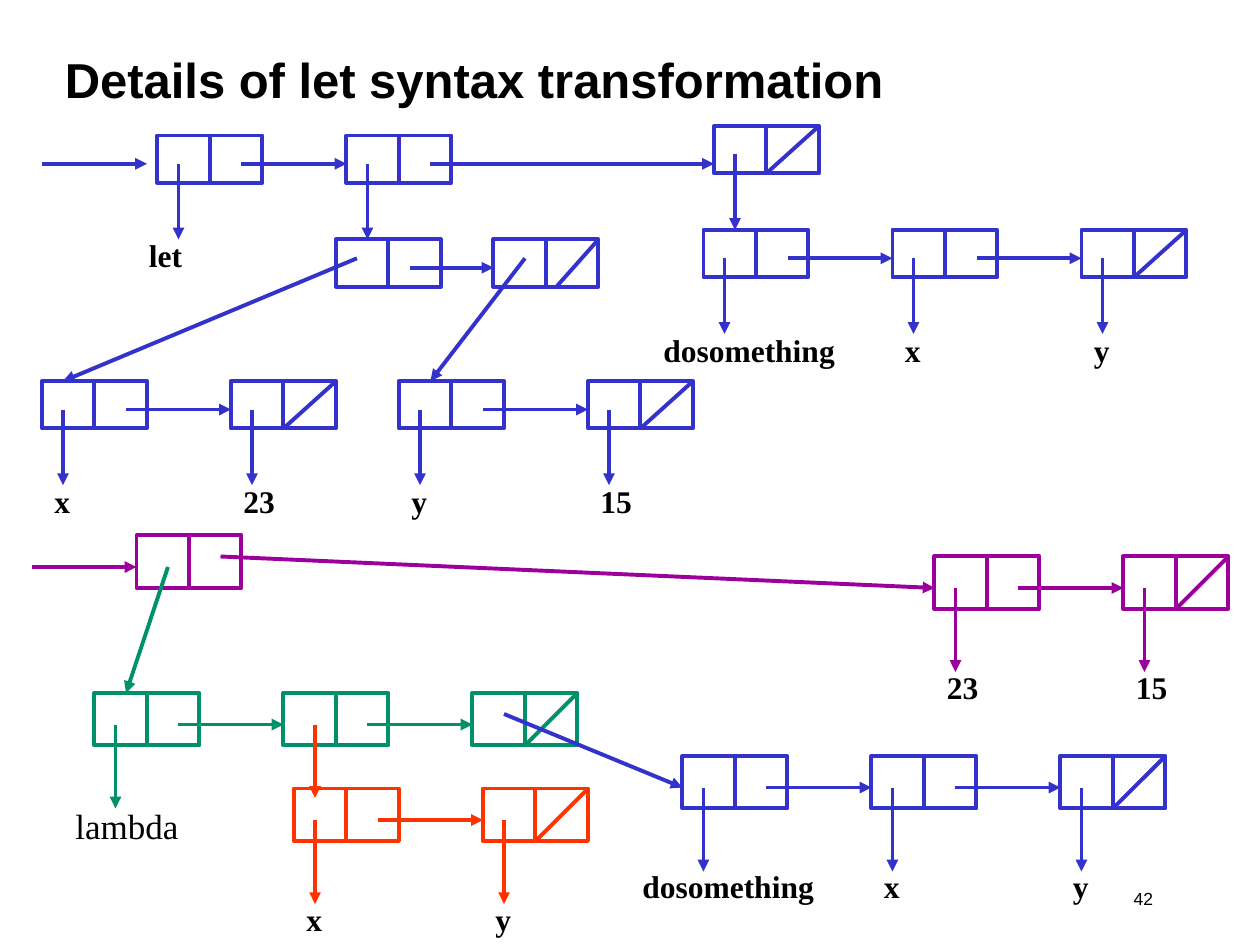
from lxml import etree
from pptx import Presentation, util as u
from pptx.dml.color import RGBColor
from pptx.enum import shapes, text
from pptx.oxml.ns import qn

BLACK = RGBColor(0x00, 0x00, 0x00)
BLUE = RGBColor(0x33, 0x33, 0xCC)
PURPLE = RGBColor(0x9C, 0x00, 0x9C)
GREEN = RGBColor(0x00, 0x90, 0x6A)
ORANGE = RGBColor(0xFF, 0x33, 0x00)

prs = Presentation()
prs.slide_width, prs.slide_height = u.Inches(10), u.Inches(7.5)
s = prs.slides.add_slide(prs.slide_layouts[6])

COL = prs.slide_width / 120
HALF = 5   # columns and rows in one half of a cons cell
# Each half of the slide has its own rows: (first row's top, row height)
LET = (u.Inches(1), u.Inches(0.075))
LAMBDA = (0, prs.slide_height / 90)


def add_text(content, x, y, w, h, *, size=18, bold=True, font="Times New Roman",
             align=text.PP_ALIGN.LEFT, anchor=text.MSO_ANCHOR.TOP):
    box = s.shapes.add_textbox(int(x), int(y), int(w), int(h))
    tf = box.text_frame
    tf.word_wrap, tf.vertical_anchor = True, anchor
    p = tf.paragraphs[0]
    p.alignment = align
    r = p.add_run()
    r.text = content
    r.font.size, r.font.bold, r.font.name = u.Pt(size), bold, font
    r.font.color.rgb = BLACK


def add_line(rows, color, c1, r1, c2, r2, arrow=True):
    """Draw a line between two (column, row) points."""
    top, step = rows
    line = s.shapes.add_connector(
        shapes.MSO_CONNECTOR.STRAIGHT, int(c1 * COL), int(top + r1 * step),
        int(c2 * COL), int(top + r2 * step))
    line.line.color.rgb, line.line.width = color, u.Pt(2.25)
    if arrow:
        etree.SubElement(line.line._get_or_add_ln(), qn("a:tailEnd"), type="triangle")
    etree.SubElement(line._element.spPr, qn("a:effectLst"))


add_text("Details of let syntax transformation", 5 * COL, u.Inches(0.17),
         102 * COL, 11 * COL, size=28, font="Arial", anchor=text.MSO_ANCHOR.MIDDLE)
add_text("42", 82 * COL, 84 * COL, 29 * COL, 4 * COL, size=10, bold=False,
         font="Arial", align=text.PP_ALIGN.RIGHT)

# Columns a label is moved left of its cell, and its width in columns
LABELS = {"let": (2, 16), "lambda": (3, 18), "dosomething": (5, 19)}

# rows, color, row, ends in nil, cells as (column, car)
# car: a label, "" for a bare down arrow, None for no down arrow
chains = [
    (LET, BLUE, 1, False, [(15, "let"), (33, "")]),
    (LET, BLUE, 0, True, [(68, "")]),
    (LET, BLUE, 11, True, [(67, "dosomething"), (85, "x"), (103, "y")]),
    (LET, BLUE, 12, False, [(32, None)]),
    (LET, BLUE, 12, False, [(47, None)]),
    (LET, BLUE, 27, True, [(4, "x"), (22, "23")]),
    (LET, BLUE, 27, True, [(38, "y"), (56, "15")]),
    (LAMBDA, PURPLE, 53, True, [(89, "23"), (107, "15")]),
    (LAMBDA, PURPLE, 51, False, [(13, None)]),
    (LAMBDA, ORANGE, 75.1, True, [(28, "x"), (46, "y")]),
    (LAMBDA, GREEN, 66, True, [(9, "lambda"), (27, None), (45, None)]),
    (LAMBDA, BLUE, 72, True, [(65, "dosomething"), (83, "x"), (101, "y")]),
]
for rows, color, row, nil, cells in chains:
    top, step = rows
    for i, (col, car) in enumerate(cells):
        for left in (col, col + HALF):
            sp = s.shapes.add_shape(
                shapes.MSO_SHAPE.RECTANGLE, int(left * COL), int(top + row * step),
                int(HALF * COL), int(HALF * step))
            sp.shadow.inherit = False
            sp.fill.background()
            sp.line.color.rgb, sp.line.width = color, u.Pt(2.25)
        if car is not None:
            add_line(rows, color, col + 2, row + 3, col + 2, row + 11)
        if car:
            shift, width = LABELS.get(car, (0, 6))
            plain = car == "lambda"
            add_text(car, (col - shift) * COL, top + (row + 10) * step, width * COL,
                     u.Inches(0.4), size=20 if plain else 18, bold=not plain)
        if i + 1 < len(cells):
            add_line(rows, color, col + 8, row + 3, cells[i + 1][0], row + 3)
        elif nil:
            add_line(rows, color, col + 2 * HALF, row, col + HALF, row + HALF, arrow=False)

# Pointers into and between the chains
for rows, color, *ends in [
    (LET, BLUE, 4, 4, 14, 4),
    (LET, BLUE, 41, 4, 68, 4),
    (LET, BLUE, 39, 15, 47, 15),
    (LET, BLUE, 50, 14, 41, 27),
    (LET, BLUE, 34, 14, 6, 27),
    (LAMBDA, PURPLE, 3, 54, 13, 54),
    (LAMBDA, PURPLE, 21, 53, 89, 56),
    (LAMBDA, ORANGE, 30, 69, 30, 76),
    (LAMBDA, GREEN, 16, 54, 12, 66),
    (LAMBDA, BLUE, 48, 68, 65, 75),
]:
    add_line(rows, color, *ends)
add_line(LET, BLUE, 57, 12, 53, 17, arrow=False)

prs.save("out.pptx")
